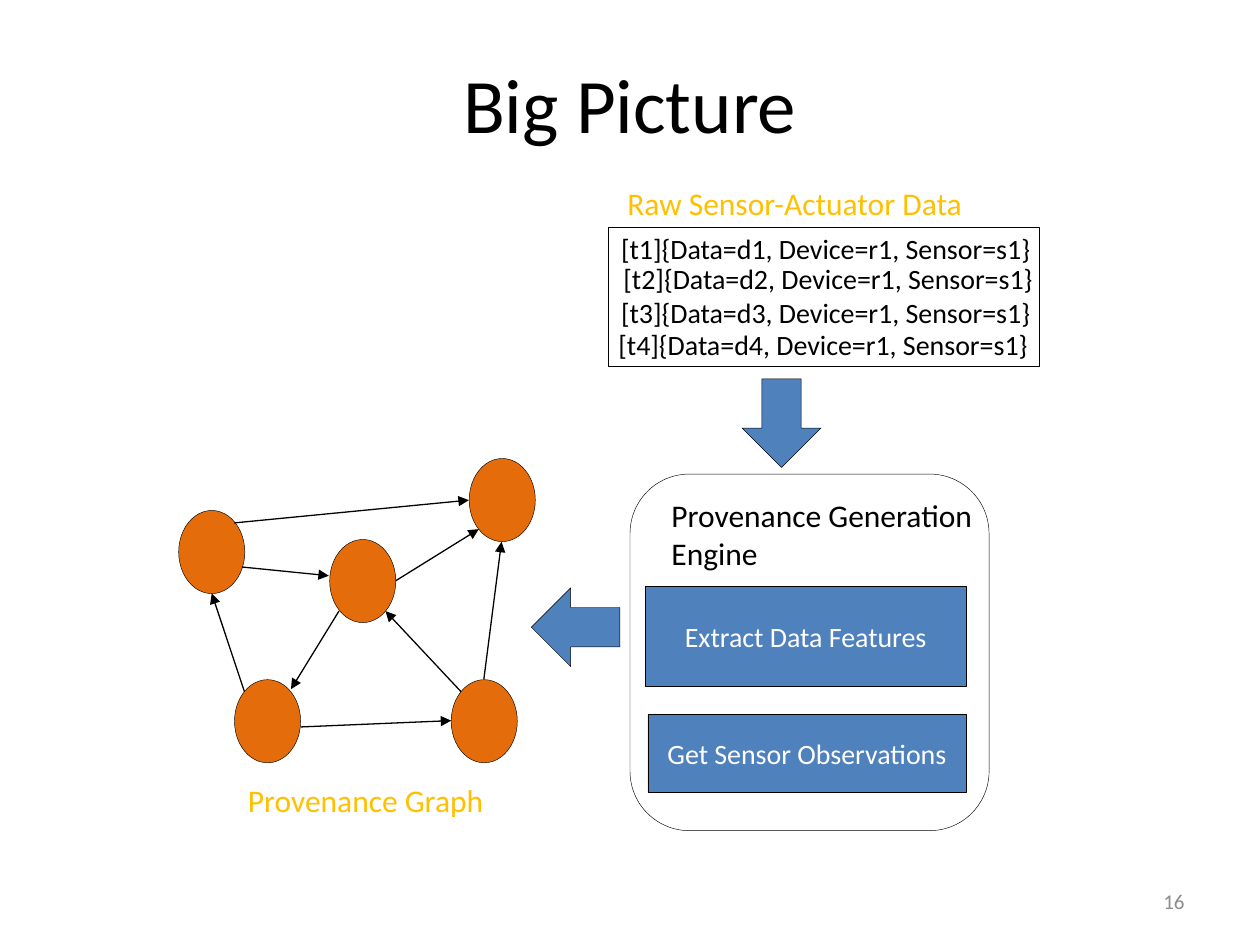
from lxml.etree import SubElement
from pptx import Presentation
from pptx.dml.color import RGBColor
from pptx.enum.shapes import MSO_CONNECTOR, MSO_SHAPE
from pptx.enum.text import MSO_ANCHOR, PP_ALIGN
from pptx.oxml.ns import qn
from pptx.util import Pt


def color(value):
    return RGBColor.from_string(value)


def write(frame, text, size=16, ink="000000", align=PP_ALIGN.LEFT, anchor=MSO_ANCHOR.TOP, wrap=True):
    frame.word_wrap = wrap
    frame.vertical_anchor = anchor
    for index, line in enumerate(text.split("\n")):
        para = frame.add_paragraph() if index else frame.paragraphs[0]
        para.alignment = align
        span = para.add_run()
        span.text = line
        span.font.name = "Calibri"
        span.font.size = Pt(size)
        span.font.color.rgb = color(ink)


deck = Presentation()
deck.slide_width, deck.slide_height = Pt(720), Pt(540)
page = deck.slides.add_slide(deck.slide_layouts[6])

WHITE, BLUE, ORANGE, GOLD = "FFFFFF", "4F81BD", "E46C0A", "FFC000"

shapes = [
    (MSO_SHAPE.RECTANGLE, 347.8, 129.6, 246.2, 80, WHITE, 0, ""),
    (MSO_SHAPE.DOWN_ARROW, 424.1, 216.5, 45, 50.6, BLUE, 0, ""),
    (MSO_SHAPE.DOWN_ARROW, 306.4, 333.1, 45, 50.6, BLUE, 90, ""),
    (MSO_SHAPE.ROUNDED_RECTANGLE, 360, 270.9, 205.2, 203.8, WHITE, 0, ""),
    (MSO_SHAPE.RECTANGLE, 370.3, 408.2, 181.8, 44.6, BLUE, 0, "Get Sensor Observations"),
    (MSO_SHAPE.RECTANGLE, 368.8, 335, 183.4, 57, BLUE, 0, "Extract Data Features"),
]
nodes = [(188.4, 308.3), (102.1, 291.7), (268.1, 262), (257.8, 388.4), (134, 388.4)]
shapes += [(MSO_SHAPE.OVAL, left, top, 37.8, 47.5, ORANGE, 0, "") for left, top in nodes]

for kind, left, top, width, height, fill, turn, label in shapes:
    shape = page.shapes.add_shape(kind, Pt(left), Pt(top), Pt(width), Pt(height))
    shape.shadow.inherit = False
    shape.rotation = turn
    shape.fill.solid()
    shape.fill.fore_color.rgb = color(fill)
    shape.line.color.rgb = color("000000")
    shape.line.width = Pt(0.25)
    if label:
        write(shape.text_frame, label, ink=WHITE, align=PP_ALIGN.CENTER, anchor=MSO_ANCHOR.MIDDLE)

edges = [
    (133.9, 298.8, 267.9, 285.8),
    (138.2, 324, 187.9, 329),
    (139.7, 395.3, 121, 339.1),
    (172.1, 415.4, 257.8, 411.8),
    (193.7, 349.2, 166.3, 393.8),
    (263.5, 395.3, 220.3, 349.2),
    (276.5, 388.1, 286.6, 309.6),
    (226.1, 331.9, 273.6, 302.4),
]
for edge in edges:
    arrow = page.shapes.add_connector(MSO_CONNECTOR.STRAIGHT, *map(Pt, edge))
    arrow.line.color.rgb = color("000000")
    arrow.line.width = Pt(0.75)
    SubElement(arrow.line._get_or_add_ln(), qn("a:tailEnd"), type="triangle")
    SubElement(arrow._element.spPr, qn("a:effectLst"))

readings = [(347.8, 128.9), (349.2, 146.2), (347.8, 165.6), (346.3, 183.6)]
texts = [
    (left, top, 293, 26.6, f"[t{number}]{{Data=d{number}, Device=r1, Sensor=s1}}", {})
    for number, (left, top) in enumerate(readings, 1)
]
texts += [
    (351.4, 101.5, 208, 29, "Raw Sensor-Actuator Data", {"size": 18, "ink": GOLD, "wrap": False}),
    (376.6, 280.1, 188.6, 51, "Provenance Generation\nEngine", {"size": 18, "wrap": False}),
    (134.6, 442.8, 150.5, 29, "Provenance Graph", {"size": 18, "ink": GOLD, "wrap": False}),
    (36, 13.7, 648, 90, "Big Picture",
     {"size": 44, "align": PP_ALIGN.CENTER, "anchor": MSO_ANCHOR.MIDDLE}),
    (516, 500.5, 168, 28.8, "16",
     {"size": 12, "ink": "8C8C8C", "align": PP_ALIGN.RIGHT, "anchor": MSO_ANCHOR.MIDDLE}),
]
for left, top, width, height, text, look in texts:
    box = page.shapes.add_textbox(Pt(left), Pt(top), Pt(width), Pt(height))
    write(box.text_frame, text, **look)

deck.save("out.pptx")
